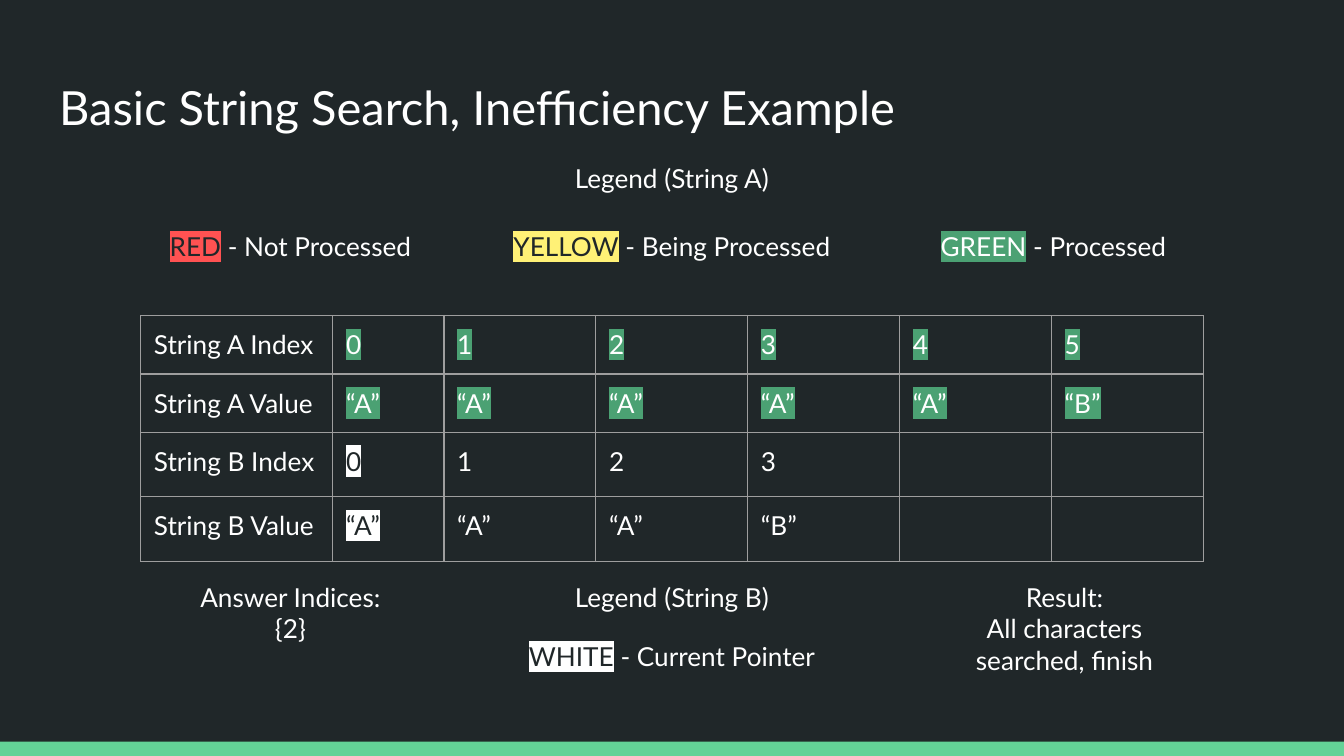
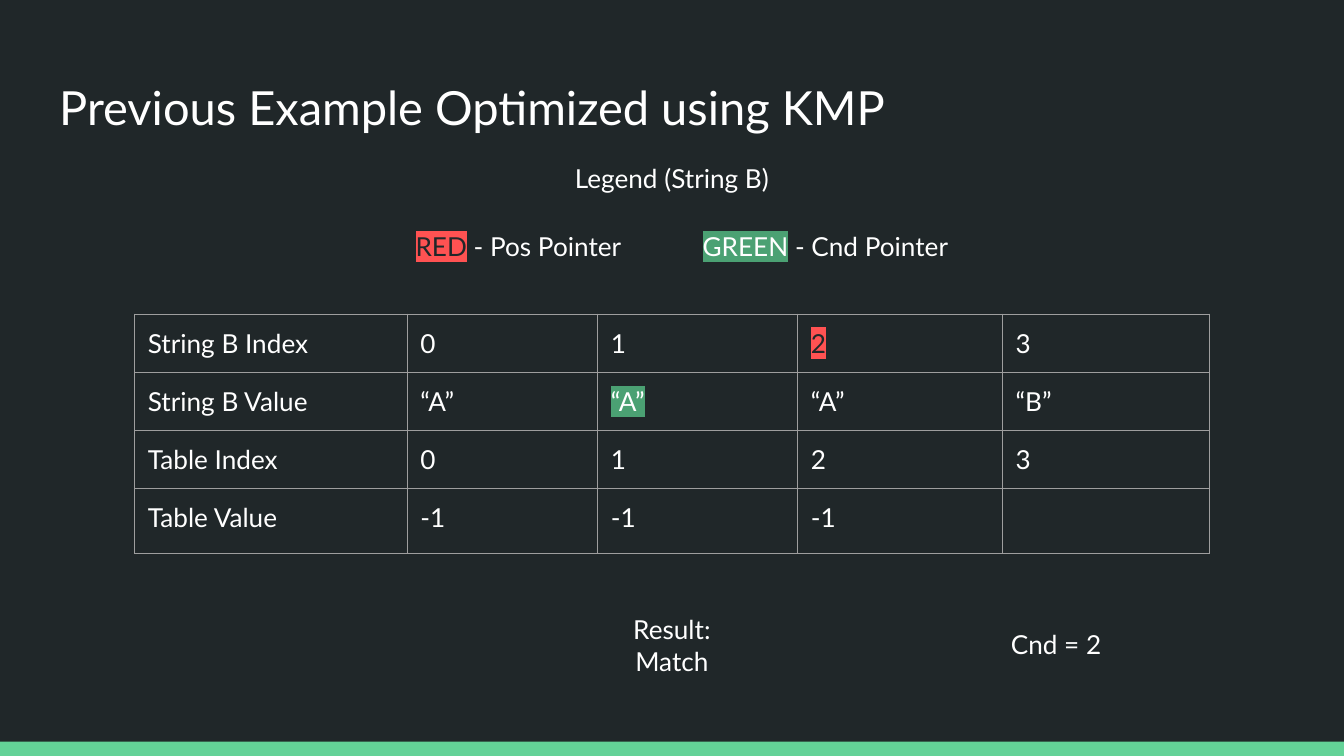
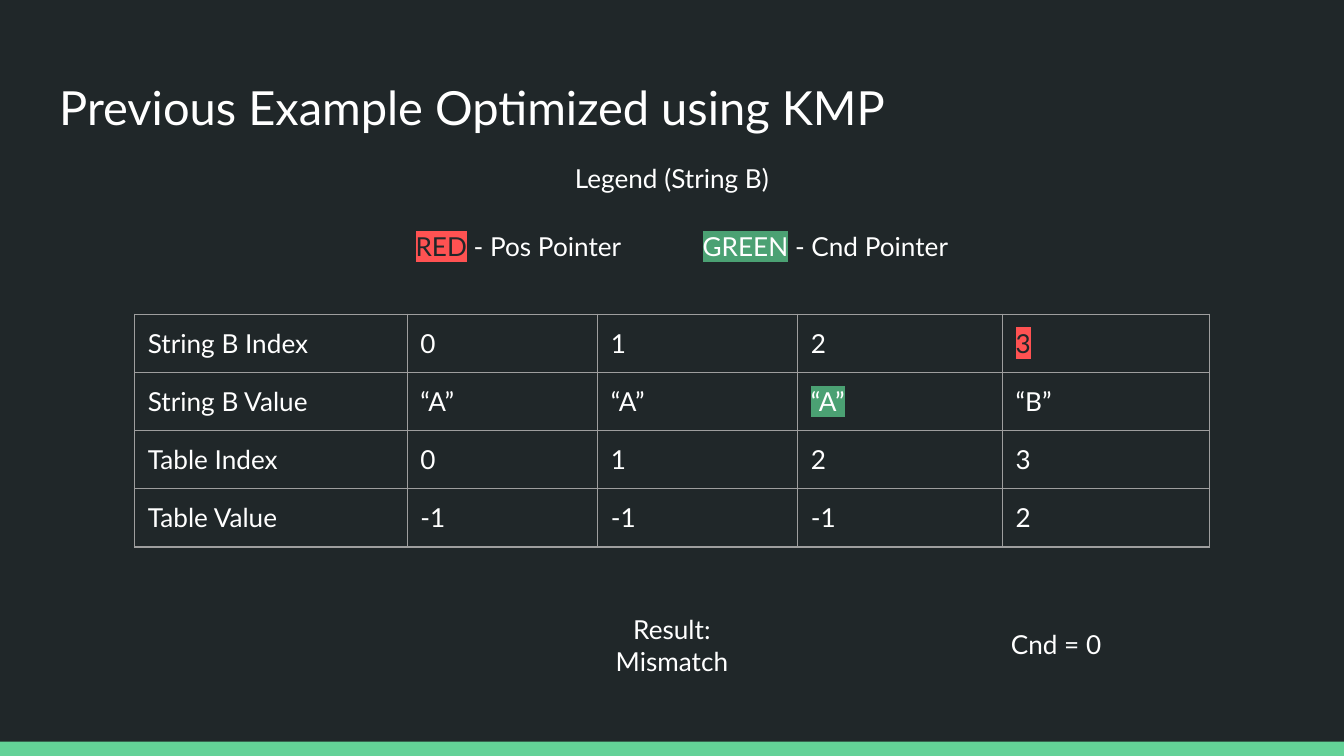
"""Build three slides that compare basic string search with KMP."""
from lxml import etree
from pptx import Presentation
from pptx.dml.color import RGBColor
from pptx.enum.shapes import MSO_SHAPE
from pptx.enum.text import MSO_ANCHOR, MSO_AUTO_SIZE, PP_ALIGN
from pptx.oxml.ns import qn
from pptx.util import Cm, Pt

RECTANGLE = MSO_SHAPE.RECTANGLE
LEFT, CENTER = PP_ALIGN.LEFT, PP_ALIGN.CENTER
TOP = MSO_ANCHOR.TOP
GROW = MSO_AUTO_SIZE.SHAPE_TO_FIT_TEXT

DARK = RGBColor(0x20, 0x27, 0x29)
WHITE = RGBColor(0xFF, 0xFF, 0xFF)
MINT = RGBColor(0x63, 0xD2, 0x97)
GREEN = RGBColor(0x4B, 0xA1, 0x73)
RED = RGBColor(0xFF, 0x52, 0x52)
YELLOW = RGBColor(0xFF, 0xF1, 0x76)
GRAY = RGBColor(0x9E, 0x9E, 0x9E)

FONT = "Lato"
TITLE_SIZE, BODY_SIZE = 25.2, 14
PAGE_W, PAGE_H = 25.4, 14.29
MIDDLE = PAGE_W / 2
BAND_H = 0.27
INSET = 0.25
LINE_H = 0.59
HEADING_W, HEADING_TOP = 15.3, 2.82
KEY_TOP, KEY_GAP = 4.11, 0.66
KEY_W, WIDE_KEY_W, NOTE_W = 5.8, 7.3, 5.38
ROW_H, OPEN_ROW_H = 1.1, 1.22
BORDER_PT = 0.75

MARGINS = {f"margin_{side}": Cm(INSET) for side in ("left", "right", "top", "bottom")}

SEARCH_ROWS = [
    ["String A Index", "0", "1", "2", "3", "4", "5"],
    ["String A Value", "“A”", "“A”", "“A”", "“A”", "“A”", "“B”"],
    ["String B Index", "0", "1", "2", "3", "", ""],
    ["String B Value", "“A”", "“A”", "“A”", "“B”", "", ""],
]
SEARCH_MARKS = {(row, col): GREEN for row in (0, 1) for col in range(1, 7)}
SEARCH_MARKS.update({(2, 1): WHITE, (3, 1): WHITE})
SEARCH_COLS = [3.63, 2.1] + [2.87] * 5
SEARCH_KEYS = [
    ("RED", RED, " - Not Processed", KEY_W),
    ("YELLOW", YELLOW, " - Being Processed", WIDE_KEY_W),
    ("GREEN", GREEN, " - Processed", KEY_W),
]

KMP_ROWS = [
    ["String B Index", "0", "1", "2", "3"],
    ["String B Value", "“A”", "“A”", "“A”", "“B”"],
    ["Table Index", "0", "1", "2", "3"],
]
KMP_COLS = [5.15, 3.6, 3.78, 3.87, 3.91]
KMP_KEYS = [
    ("RED", RED, " - Pos Pointer", KEY_W),
    ("GREEN", GREEN, " - Cnd Pointer", KEY_W),
]
KMP_STEPS = [
    {"values": ["-1", "-1", "-1", ""], "pos": 2, "result": "Match", "cnd": 2},
    {"values": ["-1", "-1", "-1", "2"], "pos": 3, "result": "Mismatch", "cnd": 0},
]


def apply(target, values):
    for name, value in values.items():
        setattr(target, name, value)


def add_span(para, text, size=BODY_SIZE, mark=None):
    span = para.add_run()
    span.text = text
    span.font.color.rgb = DARK if mark in (RED, YELLOW, WHITE) else WHITE
    apply(span.font, {"name": FONT, "size": Pt(size)})
    if mark is not None:
        highlight = etree.Element(qn("a:highlight"))
        etree.SubElement(highlight, qn("a:srgbClr"), val=str(mark))
        span.font._element.find(qn("a:solidFill")).addnext(highlight)


def add_text(page, left, top, width, height, paragraphs, size=BODY_SIZE, align=CENTER):
    box = page.shapes.add_textbox(Cm(left), Cm(top), Cm(width), Cm(height))
    frame = box.text_frame
    apply(frame, {"word_wrap": True, "vertical_anchor": TOP, **MARGINS})
    if size == BODY_SIZE:
        frame.auto_size = GROW
    for number, spans in enumerate(paragraphs):
        para = frame.add_paragraph() if number else frame.paragraphs[0]
        para.alignment = align
        for text, mark in spans:
            add_span(para, text, size, mark)


def add_label(page, center, top, width, *lines, wrapped=0):
    height = 2 * INSET + LINE_H * (len(lines) + wrapped)
    add_text(page, center - width / 2, top, width, height, [[(line, None)] for line in lines])


def add_keys(page, top, keys):
    gap = KEY_GAP if len(keys) > 2 else 0
    left = MIDDLE - (sum(key[-1] for key in keys) + gap * (len(keys) - 1)) / 2
    for name, mark, meaning, width in keys:
        add_text(page, left, top, width, 2 * INSET + LINE_H, [[(name, mark), (meaning, None)]])
        left += width + gap


def add_borders(cell):
    properties = cell._tc.get_or_add_tcPr()
    for side in ("lnL", "lnR", "lnT", "lnB"):
        line = etree.SubElement(properties, qn(f"a:{side}"), w=str(Pt(BORDER_PT)))
        fill = etree.SubElement(line, qn("a:solidFill"))
        etree.SubElement(fill, qn("a:srgbClr"), val=str(GRAY))


def add_grid(page, top, rows, widths, marks):
    heights = [ROW_H if all(row) else OPEN_ROW_H for row in rows]
    total = sum(widths)
    table = page.shapes.add_table(len(rows), len(widths), Cm(MIDDLE - total / 2), Cm(top),
                                  Cm(total), Cm(sum(heights))).table
    apply(table, {"first_row": False, "horz_banding": False})
    for column, width in zip(table.columns, widths):
        column.width = Cm(width)
    for r, row in enumerate(rows):
        table.rows[r].height = Cm(heights[r])
        for c, text in enumerate(row):
            cell = table.cell(r, c)
            apply(cell, {"vertical_anchor": TOP, **MARGINS})
            add_borders(cell)
            cell.fill.background()
            para = cell.text_frame.paragraphs[0]
            if text:
                add_span(para, text, mark=marks.get((r, c)))
            else:
                etree.SubElement(para._p, qn("a:endParaRPr"), sz=str(BODY_SIZE * 100))


def add_page(deck, title):
    page = deck.slides.add_slide(deck.slide_layouts[6])
    page.background.fill.solid()
    page.background.fill.fore_color.rgb = DARK
    band = page.shapes.add_shape(RECTANGLE, 0, Cm(PAGE_H - BAND_H), Cm(PAGE_W), Cm(BAND_H))
    band.shadow.inherit = False
    band.fill.solid()
    band.fill.fore_color.rgb = MINT
    band.line.fill.background()
    add_text(page, 0.87, 1.24, 23.67, 1.6, [[(title, None)]], TITLE_SIZE, LEFT)
    return page


def add_search_page(deck):
    page = add_page(deck, "Basic String Search, Inefficiency Example")
    add_grid(page, 5.97, SEARCH_ROWS, SEARCH_COLS, SEARCH_MARKS)
    add_label(page, MIDDLE, HEADING_TOP, HEADING_W, "Legend (String A)")
    add_keys(page, KEY_TOP, SEARCH_KEYS)
    notes_top = 10.74
    add_label(page, MIDDLE, notes_top, HEADING_W, "Legend (String B)")
    add_keys(page, 11.86, [("WHITE", WHITE, " - Current Pointer", WIDE_KEY_W)])
    add_label(page, 20.12, notes_top, NOTE_W, "Result:", "All characters searched, finish",
              wrapped=1)
    add_label(page, 5.49, notes_top, NOTE_W, "Answer Indices:", "{2}")


def add_kmp_page(deck, step):
    page = add_page(deck, "Previous Example Optimized using KMP")
    pos = step["pos"]
    marks = {(0, pos + 1): RED, (1, pos): GREEN}
    add_grid(page, 5.94, KMP_ROWS + [["Table Value"] + step["values"]], KMP_COLS, marks)
    add_label(page, MIDDLE, HEADING_TOP, HEADING_W, "Legend (String B)")
    add_keys(page, KEY_TOP, KMP_KEYS)
    add_label(page, MIDDLE, 11.35, NOTE_W, "Result:", step["result"])
    add_label(page, 19.96, 11.63, KEY_W, f"Cnd = {step['cnd']}")


def main():
    deck = Presentation()
    apply(deck, {"slide_width": Cm(PAGE_W), "slide_height": Cm(PAGE_H)})
    add_search_page(deck)
    for step in KMP_STEPS:
        add_kmp_page(deck, step)
    deck.save("out.pptx")


if __name__ == "__main__":
    main()
